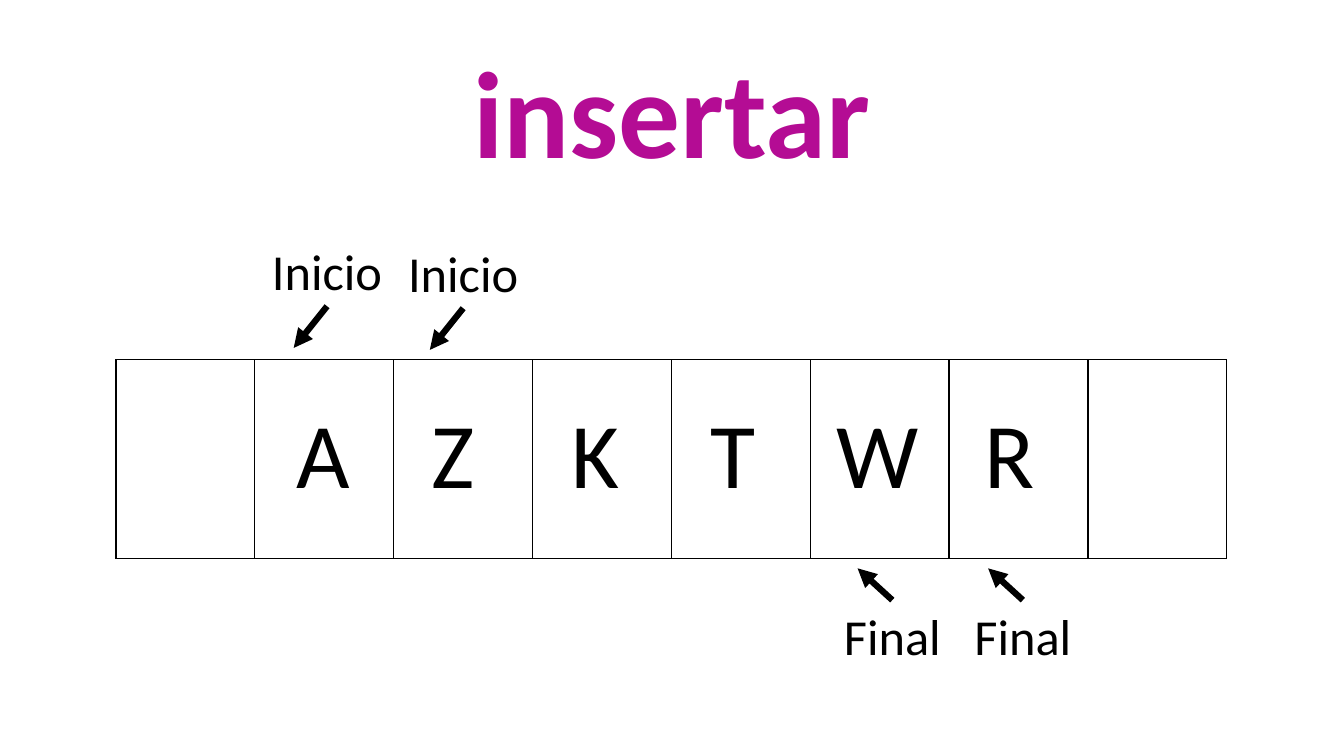
from dataclasses import dataclass

from lxml import etree
from pptx import Presentation
from pptx import util as u
from pptx.dml.color import RGBColor
from pptx.enum import text
from pptx.enum.shapes import MSO_CONNECTOR
from pptx.oxml import ns


@dataclass(frozen=True)
class Theme:
    font: str = "Calibri"
    ink: str = "000000"
    accent: str = "B40C94"
    title_size: int = 88
    letter_size: int = 66
    label_size: int = 36
    border_width: float = 1
    arrow_width: float = 4.5


@dataclass(frozen=True)
class Grid:
    left: float = 1.15
    top: float = 3.57
    column: float = 11.02 / 8
    row: float = 1.97
    columns: int = 8

    def x(self, columns: float) -> int:
        return u.Inches(self.left + columns * self.column)

    def y(self, rows: float) -> int:
        return u.Inches(self.top + rows * self.row)

    def box(self, column: float, row: float, width: float, height: float) -> tuple:
        return (self.x(column), self.y(row),
                u.Inches(width * self.column), u.Inches(height * self.row))


@dataclass(frozen=True)
class Letter:
    wording: str
    column: float


@dataclass(frozen=True)
class Pointer:
    wording: str
    column: float
    row: float
    site: int
    reach_column: float
    reach_row: float


THEME = Theme()
GRID = Grid()
LETTERS = [Letter("A", 1.23), Letter("Z", 2.2), Letter("K", 3.21),
           Letter("T", 4.21), Letter("W", 5.12), Letter("R", 6.18)]
POINTERS = [
    Pointer("Inicio", 1.05, -0.63, 2, -0.24, 0.21),
    Pointer("Inicio", 2.03, -0.62, 2, -0.24, 0.21),
    Pointer("Final", 5.12, 1.21, 0, -0.25, -0.16),
    Pointer("Final", 6.06, 1.21, 0, -0.25, -0.16),
]


def write(shape, wording: str, *, size: float, color: str = THEME.ink,
          bold: bool = False, align=text.PP_ALIGN.CENTER) -> None:
    frame = shape.text_frame
    frame.word_wrap = True
    frame.auto_size = text.MSO_AUTO_SIZE.SHAPE_TO_FIT_TEXT
    paragraph = frame.paragraphs[0]
    paragraph.alignment = align
    run = paragraph.add_run()
    run.text = wording
    run.font.name = THEME.font
    run.font.size = u.Pt(size)
    run.font.bold = bold
    run.font.color.rgb = RGBColor.from_string(color)


def set_borders(cell) -> None:
    properties = cell._tc.get_or_add_tcPr()
    for index, side in enumerate(("a:lnL", "a:lnR", "a:lnT", "a:lnB")):
        line = etree.Element(ns.qn(side), w=str(u.Pt(THEME.border_width)))
        fill = etree.SubElement(line, ns.qn("a:solidFill"))
        etree.SubElement(fill, ns.qn("a:srgbClr"), val=THEME.ink)
        properties.insert(index, line)


def draw_title(slide, width: int, height: int) -> None:
    title = slide.shapes.title
    title.left, title.top = int(width * 0.15), int(height * 0.04)
    title.width, title.height = int(width * 0.7), int(height * 0.21)
    write(title, "insertar", size=THEME.title_size, color=THEME.accent, bold=True)


def draw_queue(slide) -> None:
    table = slide.shapes.add_table(
        1, GRID.columns, *GRID.box(0, 0, GRID.columns, 1)).table
    table.first_row = False
    table.horz_banding = False
    for cell in table.iter_cells():
        cell.fill.background()
        set_borders(cell)


def draw_letter(slide, letter: Letter) -> None:
    box = slide.shapes.add_textbox(*GRID.box(letter.column, 0.16, 0.62, 0.61))
    write(box, letter.wording, size=THEME.letter_size, align=text.PP_ALIGN.LEFT)


def draw_pointer(slide, pointer: Pointer) -> None:
    label = slide.shapes.add_textbox(
        *GRID.box(pointer.column, pointer.row, 0.94, 0.36))
    write(label, pointer.wording, size=THEME.label_size)
    start_x = label.left + label.width // 2
    start_y = label.top + (label.height if pointer.site == 2 else 0)
    arrow = slide.shapes.add_connector(
        MSO_CONNECTOR.STRAIGHT, start_x, start_y,
        start_x + u.Inches(pointer.reach_column * GRID.column),
        start_y + u.Inches(pointer.reach_row * GRID.row))
    arrow.begin_connect(label, pointer.site)
    arrow.line.color.rgb = RGBColor.from_string(THEME.ink)
    arrow.line.width = u.Pt(THEME.arrow_width)
    etree.SubElement(arrow.line._get_or_add_ln(), ns.qn("a:tailEnd"), type="triangle")
    etree.SubElement(arrow._element.spPr, ns.qn("a:effectLst"))


def main() -> None:
    presentation = Presentation()
    presentation.slide_width = u.Inches(13.33)
    presentation.slide_height = u.Inches(7.5)
    layout = presentation.slide_layouts.get_by_name("Title Only")
    slide = presentation.slides.add_slide(layout)
    draw_title(slide, presentation.slide_width, presentation.slide_height)
    draw_queue(slide)
    for letter in LETTERS:
        draw_letter(slide, letter)
    for pointer in POINTERS:
        draw_pointer(slide, pointer)
    presentation.save("out.pptx")


if __name__ == "__main__":
    main()
